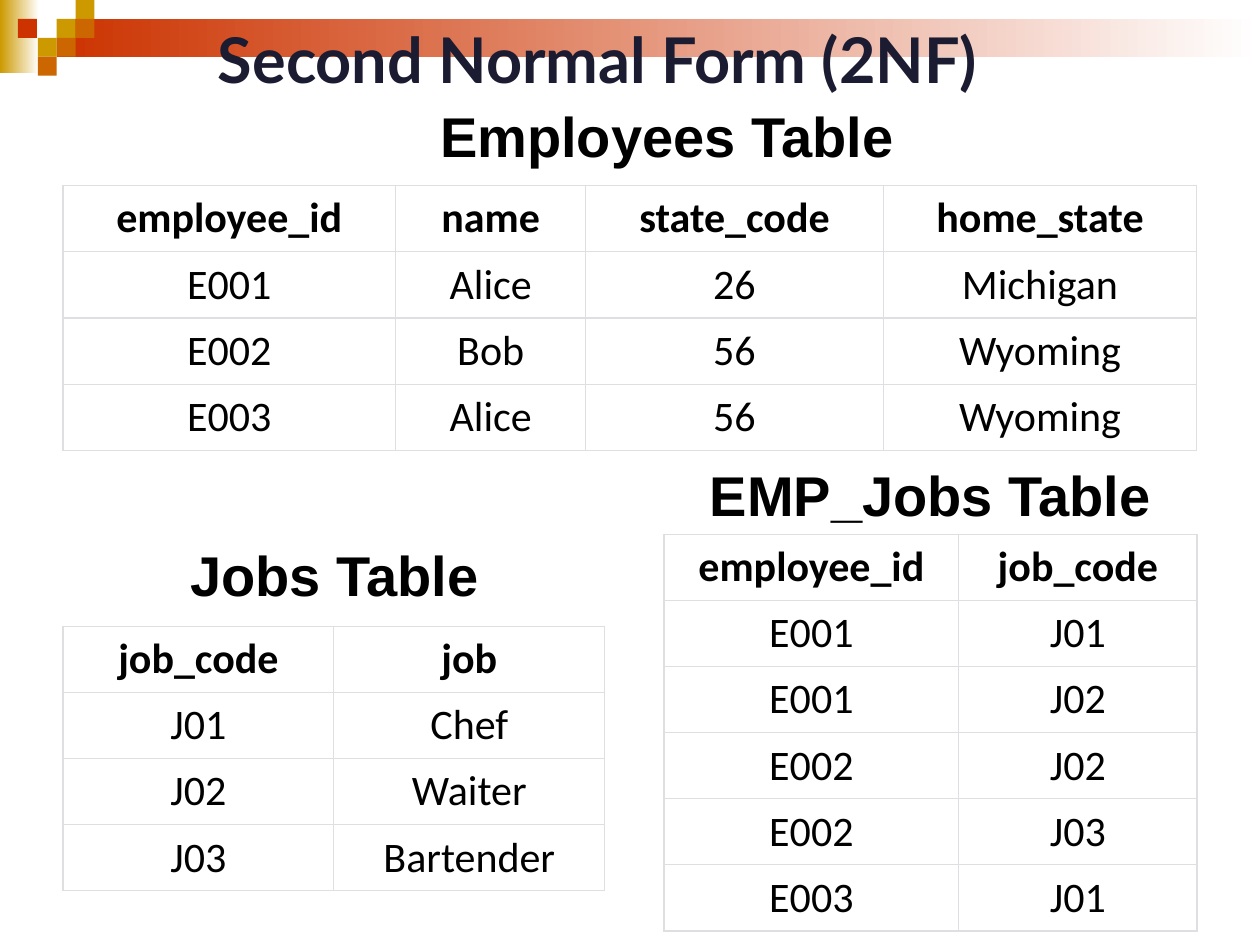
from lxml.etree import SubElement
from pptx import Presentation
from pptx.dml.color import RGBColor
from pptx.enum.shapes import MSO_SHAPE
from pptx.enum.text import MSO_ANCHOR, MSO_AUTO_SIZE, PP_ALIGN
from pptx.oxml.ns import qn
from pptx.util import Inches, Pt

GOLD, ORANGE, RED, WHITE = "CC9900", "CC6600", "CC3300", "FFFFFF"
NAVY, BLACK, BORDER = "1B1B32", "000000", "DFDFE2"


def rgb(value):
    return RGBColor.from_string(value)


def set_text(tf, text, font="Calibri", size=24, color=BLACK, bold=False,
             align=PP_ALIGN.CENTER):
    p = tf.paragraphs[0]
    p.alignment = align
    r = p.add_run()
    r.text = text
    r.font.name, r.font.size, r.font.bold = font, Pt(size), bold
    r.font.color.rgb = rgb(color)


def add_block(shapes, box, *colors):
    """Add a borderless rectangle: one colour is solid, two make a gradient."""
    sp = shapes.add_shape(MSO_SHAPE.RECTANGLE, *map(Inches, box))
    sp.shadow.inherit = False
    sp.line.fill.background()
    if len(colors) == 1:
        sp.fill.solid()
        sp.fill.fore_color.rgb = rgb(colors[0])
    else:
        sp.fill.gradient()
        sp.fill.gradient_angle = 0
        for stop, color in zip(sp.fill.gradient_stops, colors):
            stop.color.rgb = rgb(color)


def add_banner(s, box):
    left, top, width, height = box
    side = height / 4
    shapes = s.shapes.add_group_shape().shapes
    add_block(shapes, (left, top, 0.31, 0.58), GOLD, WHITE)
    add_block(shapes, (left + 3 * side, top + side, width - 3 * side, 2 * side),
              RED, WHITE)
    squares = [(3, 1, GOLD), (4, 0, GOLD), (4, 1, ORANGE), (2, 2, GOLD),
               (0.95, 1, RED), (3, 2, ORANGE), (2, 3, ORANGE)]
    for col, row, color in squares:
        add_block(shapes, (left + col * side, top + row * side, side, side), color)


def add_title(s, box, text):
    title = s.shapes.title
    s.shapes.element.append(title.element)  # bring in front of the banner
    title.left, title.top, title.width, title.height = map(Inches, box)
    tf = title.text_frame
    tf.word_wrap = False
    tf.auto_size = MSO_AUTO_SIZE.NONE
    tf.vertical_anchor = MSO_ANCHOR.TOP
    set_text(tf, text, font="Lato", size=36, color=NAVY, bold=True,
             align=PP_ALIGN.LEFT)


def add_caption(s, box, text):
    tf = s.shapes.add_textbox(*map(Inches, box)).text_frame
    tf.word_wrap = False
    set_text(tf, text, font="Arial", size=32, bold=True)


def set_borders(cell):
    tc_pr = cell._tc.get_or_add_tcPr()
    for side in ("lnL", "lnR", "lnT", "lnB"):
        ln = SubElement(tc_pr, qn(f"a:{side}"), w=str(Pt(0.75)))
        fill = SubElement(ln, qn("a:solidFill"))
        SubElement(fill, qn("a:srgbClr"), val=BORDER)


def add_data_table(s, box, col_widths, rows, inset=0.13):
    frame = s.shapes.add_table(len(rows), len(col_widths), *map(Inches, box))
    table = frame.table
    table.first_row = table.horz_banding = False
    for column, width in zip(table.columns, col_widths):
        column.width = Inches(width)
    for i, values in enumerate(rows):
        table.rows[i].height = Inches(box[3] / len(rows))
        for j, value in enumerate(values):
            cell = table.cell(i, j)
            cell.margin_left = cell.margin_right = Inches(inset)
            cell.margin_top = cell.margin_bottom = Inches(0.06)
            set_borders(cell)
            cell.fill.background()
            set_text(cell.text_frame, value, bold=i == 0)


def main():
    prs = Presentation()
    prs.slide_width, prs.slide_height = Inches(10), Inches(7.5)
    s = prs.slides.add_slide(prs.slide_layouts[5])

    add_banner(s, (0, 0, 10, 0.6))
    add_title(s, (1.63, 0.11, 6.74, 0.71), "Second Normal Form (2NF)")

    add_data_table(s, (0.5, 1.47, 9, 2.1), (2.64, 1.51, 2.36, 2.49), [
        ("employee_id", "name", "state_code", "home_state"),
        ("E001", "Alice", "26", "Michigan"),
        ("E002", "Bob", "56", "Wyoming"),
        ("E003", "Alice", "56", "Wyoming"),
    ], inset=0.12)
    add_caption(s, (3.38, 0.76, 3.83, 0.64), "Employees Table")

    add_data_table(s, (0.5, 4.97, 4.3, 2.1), (2.15, 2.15), [
        ("job_code", "job"),
        ("J01", "Chef"),
        ("J02", "Waiter"),
        ("J03", "Bartender"),
    ])
    add_caption(s, (1.4, 4.24, 2.51, 0.64), "Jobs Table")

    add_data_table(s, (5.27, 4.24, 4.23, 3.15), (2.34, 1.89), [
        ("employee_id", "job_code"),
        ("E001", "J01"),
        ("E001", "J02"),
        ("E002", "J02"),
        ("E002", "J03"),
        ("E003", "J01"),
    ])
    add_caption(s, (5.52, 3.61, 3.73, 0.64), "EMP_Jobs Table")

    prs.save("out.pptx")


if __name__ == "__main__":
    main()
